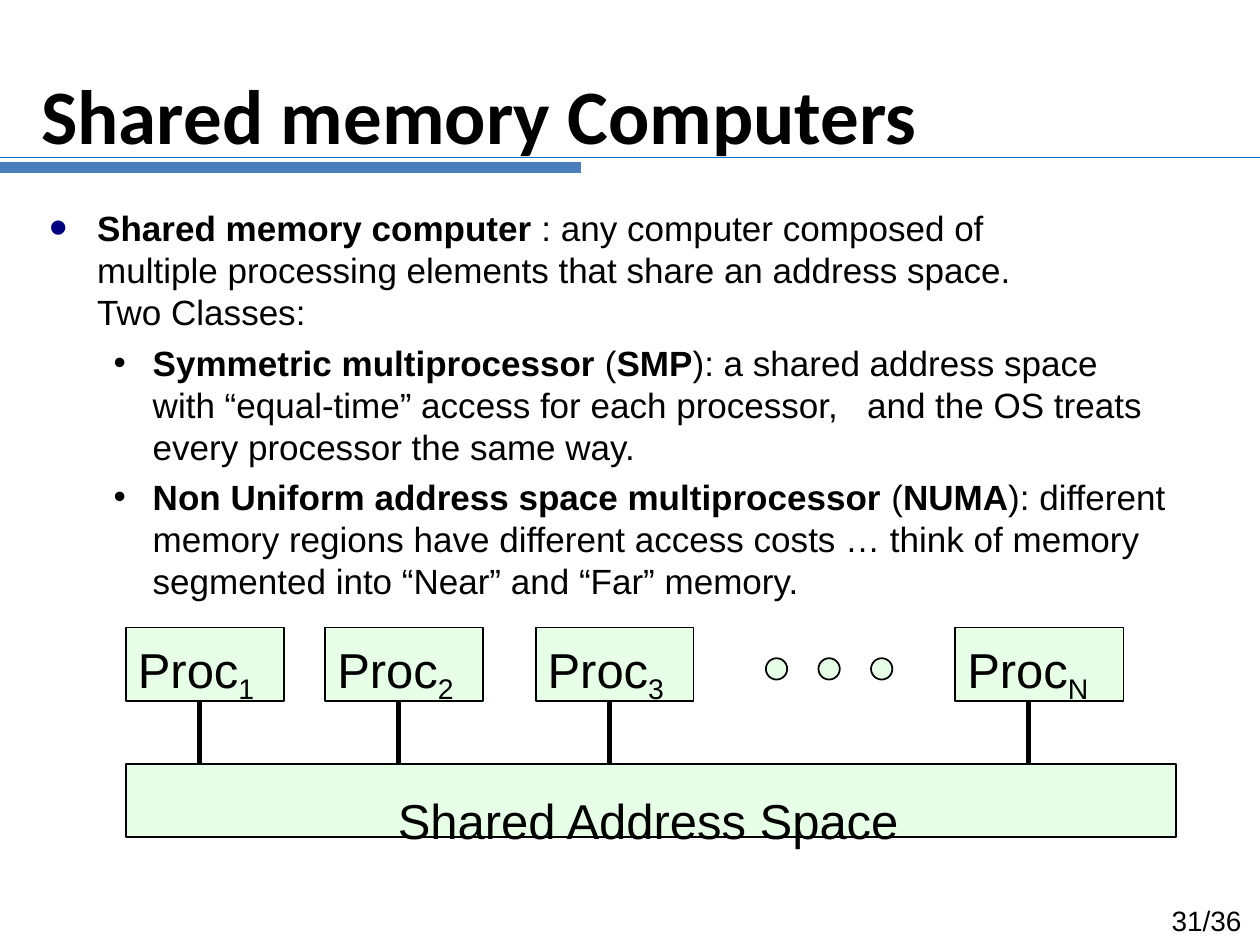
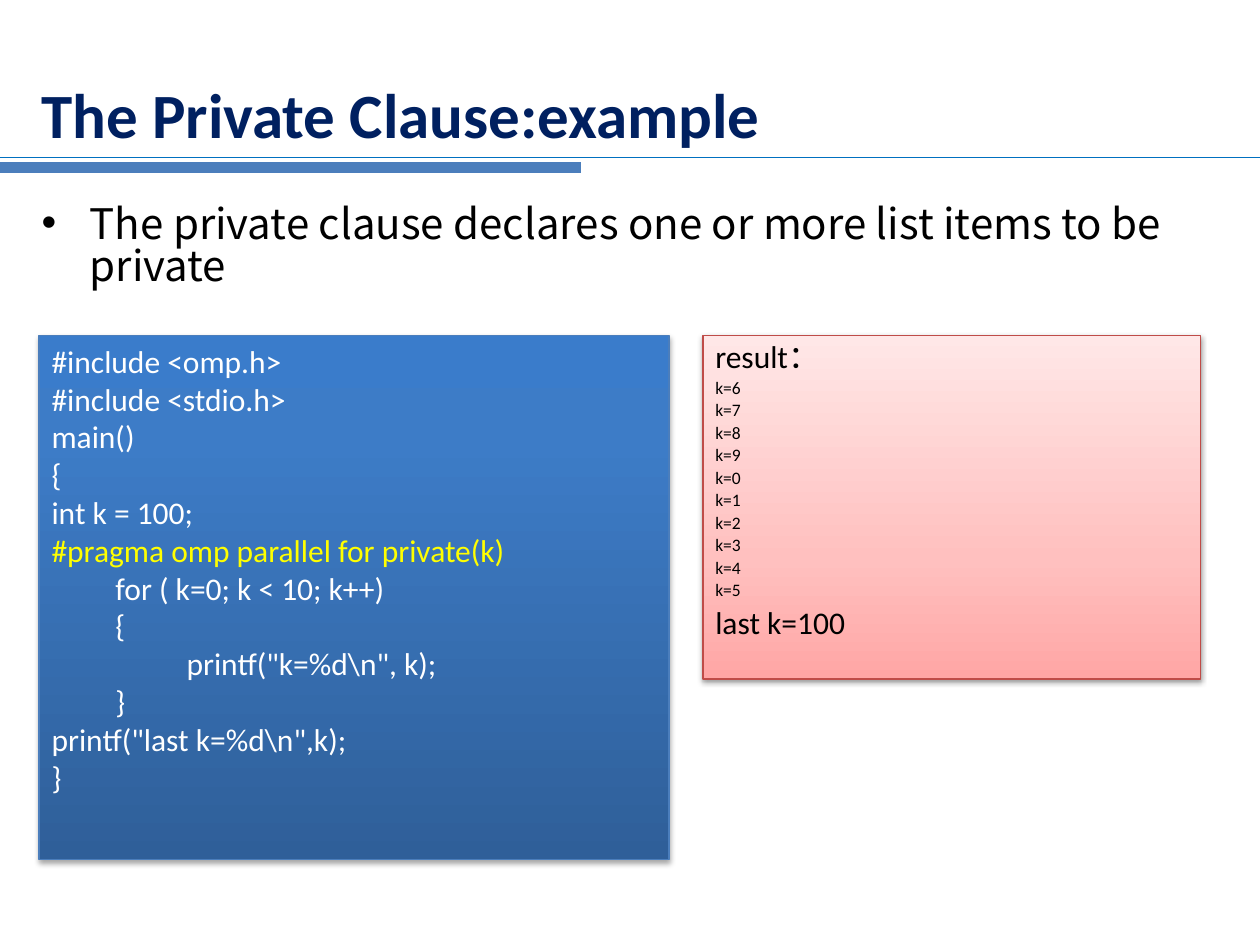
from dataclasses import dataclass

from lxml import etree
from pptx import Presentation
from pptx import util as u
from pptx.dml.color import RGBColor
from pptx.enum import shapes, text
from pptx.oxml import ns, parse_xml

COLOURS = {
    "black": "000000", "white": "FFFFFF", "navy": "002060", "bullet": "000080",
    "rule": "0070C0", "band": "4B7EBC", "mint": "E7FFE7", "pragma": "FFFF00",
    "result edge": "BF4C48",
}
BODY_FONT, TITLE_FONT, CLAUSE_FONT = "Arial", "Calibri", "Noto Sans CJK JP"


@dataclass(frozen=True)
class Box:
    left: float
    top: float
    width: float
    height: float

    def lengths(self) -> tuple:
        return tuple(u.Cm(v) for v in (self.left, self.top, self.width, self.height))


@dataclass(frozen=True)
class Processor:
    left: float
    width: float
    subscript: str


@dataclass(frozen=True)
class Bullet:
    text: str
    margin: float
    hang: float
    right: float = 0
    tab: float = 0
    space_before: float = 0
    colour: str = "black"
    percent: int = 100


@dataclass(frozen=True)
class Panel:
    box: Box
    edge: str
    stops: tuple
    shadow_alpha: int
    shadow_distance: float


TITLE_BOX = Box(0.58, 1.4, 24.2, 1.78)
PROCESSOR_TOP, BAR_TOP, BLOCK_HEIGHT = 12.65, 15.4, 1.48
LINK_OFFSET = 1.48
PROCESSORS = [
    Processor(2.54, 3.18, "1"),
    Processor(6.56, 3.18, "2"),
    Processor(10.8, 3.18, "3"),
    Processor(19.26, 3.39, "N"),
]
DEFINITIONS = [
    Bullet("**Shared memory computer** : any computer composed of multiple processing "
           "elements that share an address space. Two Classes:",
           0.99, 0.97, right=2.2, colour="bullet", percent=150),
    Bullet("**Symmetric multiprocessor** (**SMP**): a shared address space with “equal-time” "
           "access for each processor,\tand the OS treats every processor the same way.",
           2.11, 0.79, tab=14.86, space_before=4.8),
    Bullet("**Non Uniform address space multiprocessor** (**NUMA**): different memory regions "
           "have different access costs … think of memory segmented into “Near” and “Far” memory.",
           2.11, 0.79, space_before=4.8),
]
CLAUSE = Bullet("The private clause declares one or more list items to be private", 0.97, 0.97)
CODE_PANEL = Panel(Box(0.79, 6.76, 12.7, 10.57), "band",
                   ((0, "2F5F99"), (80, "3D7CC7"), (100, "3A7CCB")), 35, 1.8)
RESULT_PANEL = Panel(Box(14.17, 6.76, 10.03, 6.93), "result edge",
                     ((0, "FFA6A5"), (35, "FFC0BF"), (100, "FFE7E7")), 38, 1.6)
CODE = r'''#include <omp.h>
#include <stdio.h>
main()
{
int k = 100;
#pragma omp parallel for private(k)
         for ( k=0; k < 10; k++)
         {
                   printf("k=%d\n", k);
         }
printf("last k=%d\n",k);
}'''


def rgb(name: str) -> RGBColor:
    return RGBColor.from_string(COLOURS[name])


def set_font(font, name: str, size: float, colour: str = "black", bold: bool | None = None) -> None:
    font.name, font.size, font.bold = name, u.Pt(size), bold
    font.color.rgb = rgb(colour)


def add_line(slide, start: tuple, end: tuple, colour: str, width: float):
    line = slide.shapes.add_connector(
        shapes.MSO_CONNECTOR.STRAIGHT, *(u.Cm(v) for v in (*start, *end)))
    line.line.color.rgb = rgb(colour)
    line.line.width = u.Pt(width)
    etree.SubElement(line._element.spPr, ns.qn("a:effectLst"))
    return line


def add_block(slide, kind, box: Box):
    shape = slide.shapes.add_shape(kind, *box.lengths())
    shape.shadow.inherit = False
    shape.fill.solid()
    shape.fill.fore_color.rgb = rgb("mint")
    shape.line.color.rgb = rgb("black")
    shape.line.width = u.Pt(1)
    return shape


def prepare_frame(shape, left: float = 0, top: float = 0, right: float = 0, bottom: float = 0):
    frame = shape.text_frame
    frame.word_wrap = True
    frame.vertical_anchor = text.MSO_ANCHOR.TOP
    frame.margin_left, frame.margin_top = u.Cm(left), u.Cm(top)
    frame.margin_right, frame.margin_bottom = u.Cm(right), u.Cm(bottom)
    return frame


def label_block(shape, label: str, left: float, top: float, subscript: str = "") -> None:
    frame = prepare_frame(shape, left, top)
    paragraph = frame.paragraphs[0]
    paragraph.alignment = text.PP_ALIGN.LEFT
    set_font(paragraph.font, BODY_FONT, 28)
    paragraph.add_run().text = label
    if subscript:
        run = paragraph.add_run()
        run.text = subscript
        run._r.get_or_add_rPr().set("baseline", "-21000")


def set_indent(paragraph, margin: float, hang: float, right: float = 0):
    properties = paragraph._p.get_or_add_pPr()
    for name, value in (("marL", margin), ("indent", -hang), ("marR", right)):
        properties.set(name, str(u.Cm(value)))
    return properties


def write_bullet(paragraph, bullet: Bullet, font_name: str, size: float, spacing) -> None:
    properties = set_indent(paragraph, bullet.margin, bullet.hang, bullet.right)
    colour = etree.SubElement(properties, ns.qn("a:buClr"))
    etree.SubElement(colour, ns.qn("a:srgbClr"), val=COLOURS[bullet.colour])
    etree.SubElement(properties, ns.qn("a:buSzPct"), val=str(bullet.percent * 1000))
    etree.SubElement(properties, ns.qn("a:buFont"), typeface=BODY_FONT)
    etree.SubElement(properties, ns.qn("a:buChar"), char="•")
    if bullet.tab:
        tabs = etree.SubElement(properties, ns.qn("a:tabLst"))
        etree.SubElement(tabs, ns.qn("a:tab"), pos=str(u.Cm(bullet.tab)), algn="l")
    paragraph.line_spacing = spacing
    paragraph.space_before = u.Pt(bullet.space_before)
    set_font(paragraph.font, font_name, size)
    for index, part in enumerate(bullet.text.split("**")):
        if part:
            run = paragraph.add_run()
            run.text = part
            if index % 2:
                run.font.bold = True


def add_bullets(slide, box: Box, bullets: list[Bullet], font_name: str, size: float, spacing) -> None:
    frame = prepare_frame(slide.shapes.add_textbox(*box.lengths()))
    for index, bullet in enumerate(bullets):
        paragraph = frame.add_paragraph() if index else frame.paragraphs[0]
        write_bullet(paragraph, bullet, font_name, size, spacing)


def add_panel(slide, panel: Panel):
    shape = slide.shapes.add_shape(shapes.MSO_SHAPE.RECTANGLE, *panel.box.lengths())
    shape.line.color.rgb = rgb(panel.edge)
    shape.line.width = u.Pt(0.75)
    stops = "".join(f'<a:gs pos="{position * 1000}"><a:srgbClr val="{colour}"/></a:gs>'
                    for position, colour in panel.stops)
    gradient = (f'<a:gradFill {ns.nsdecls("a")} rotWithShape="1"><a:gsLst>{stops}</a:gsLst>'
                '<a:lin ang="16200000" scaled="0"/></a:gradFill>')
    shadow = (f'<a:effectLst {ns.nsdecls("a")}><a:outerShdw blurRad="{u.Pt(3.1)}" '
              f'dist="{u.Pt(panel.shadow_distance)}" dir="5400000" rotWithShape="0">'
              f'<a:srgbClr val="{COLOURS["black"]}"><a:alpha val="{panel.shadow_alpha * 1000}"/>'
              '</a:srgbClr></a:outerShdw></a:effectLst>')
    properties = shape._element.spPr
    properties.find(ns.qn("a:prstGeom")).addnext(parse_xml(gradient))
    properties.append(parse_xml(shadow))
    return prepare_frame(shape, 0.25, 0.13, 0.25, 0.13)


def write_lines(frame, lines: list[str]) -> list:
    frame.text = "\n".join(lines)
    for paragraph in frame.paragraphs:
        paragraph.alignment = text.PP_ALIGN.LEFT
    return list(frame.paragraphs)


def add_titled_slide(presentation, title: str, size: float, colour: str):
    slide = presentation.slides.add_slide(presentation.slide_layouts[5])
    placeholder = slide.shapes.title
    placeholder.left, placeholder.top, placeholder.width, placeholder.height = TITLE_BOX.lengths()
    frame = placeholder.text_frame
    frame.text = title
    frame.auto_size = text.MSO_AUTO_SIZE.NONE
    frame.vertical_anchor = text.MSO_ANCHOR.MIDDLE
    paragraph = frame.paragraphs[0]
    paragraph.alignment = text.PP_ALIGN.LEFT
    set_font(paragraph.font, TITLE_FONT, size, colour, True)
    return slide


def move_title_band_to_layout(slide) -> None:
    for line in (add_line(slide, (0, 3.18), (25.4, 3.18), "rule", 0.75),
                 add_line(slide, (0, 3.38), (11.71, 3.38), "band", 6)):
        slide.slide_layout.shapes._spTree.append(line._element)


def build_shared_memory(presentation) -> None:
    slide = add_titled_slide(presentation, "Shared memory Computers", 44, "black")
    move_title_band_to_layout(slide)
    add_bullets(slide, Box(0.97, 4.17, 22.58, 7.34), DEFINITIONS, BODY_FONT, 20, u.Pt(24))
    rectangle = shapes.MSO_SHAPE.RECTANGLE
    for processor in PROCESSORS:
        block = add_block(slide, rectangle,
                          Box(processor.left, PROCESSOR_TOP, processor.width, BLOCK_HEIGHT))
        label_block(block, "Proc", 0.24, 0.25, processor.subscript)
        link = processor.left + LINK_OFFSET
        add_line(slide, (link, PROCESSOR_TOP + BLOCK_HEIGHT), (link, BAR_TOP), "black", 3)
    for index in range(3):
        add_block(slide, shapes.MSO_SHAPE.OVAL, Box(15.44 + 1.06 * index, 13.27, 0.43, 0.43))
    bar = add_block(slide, rectangle, Box(2.54, BAR_TOP, 21.17, BLOCK_HEIGHT))
    label_block(bar, "Shared Address Space", 5.48, 0.53)
    number = prepare_frame(slide.shapes.add_textbox(*Box(23.62, 18.21, 1.6, 0.64).lengths()))
    number.text = "31/36"
    set_font(number.paragraphs[0].font, BODY_FONT, 16)


def build_private_clause(presentation) -> None:
    slide = add_titled_slide(presentation, "The Private Clause:example", 36, "navy")
    add_bullets(slide, Box(0.84, 4.14, 23.7, 2.5), [CLAUSE], CLAUSE_FONT, 24, 0.84)
    for paragraph in write_lines(add_panel(slide, CODE_PANEL), CODE.split("\n")):
        colour = "pragma" if paragraph.text.startswith("#pragma") else "white"
        set_font(paragraph.font, TITLE_FONT, 18, colour)
    thread_values = [f"k={value % 10}" for value in range(6, 16)]
    lines = ["result：", *thread_values, "last k=100"]
    for index, paragraph in enumerate(write_lines(add_panel(slide, RESULT_PANEL), lines)):
        size = 10 if paragraph.text in thread_values else 18
        set_indent(paragraph, 0.97, 0.97)
        paragraph.line_spacing = 0.9
        paragraph.space_before = u.Pt(size * 0.2 if index else 0)
        set_font(paragraph.font, TITLE_FONT, size)


def main() -> None:
    presentation = Presentation()
    presentation.slide_width, presentation.slide_height = u.Cm(25.4), u.Cm(19.05)
    build_shared_memory(presentation)
    build_private_clause(presentation)
    presentation.save("out.pptx")


if __name__ == "__main__":
    main()
